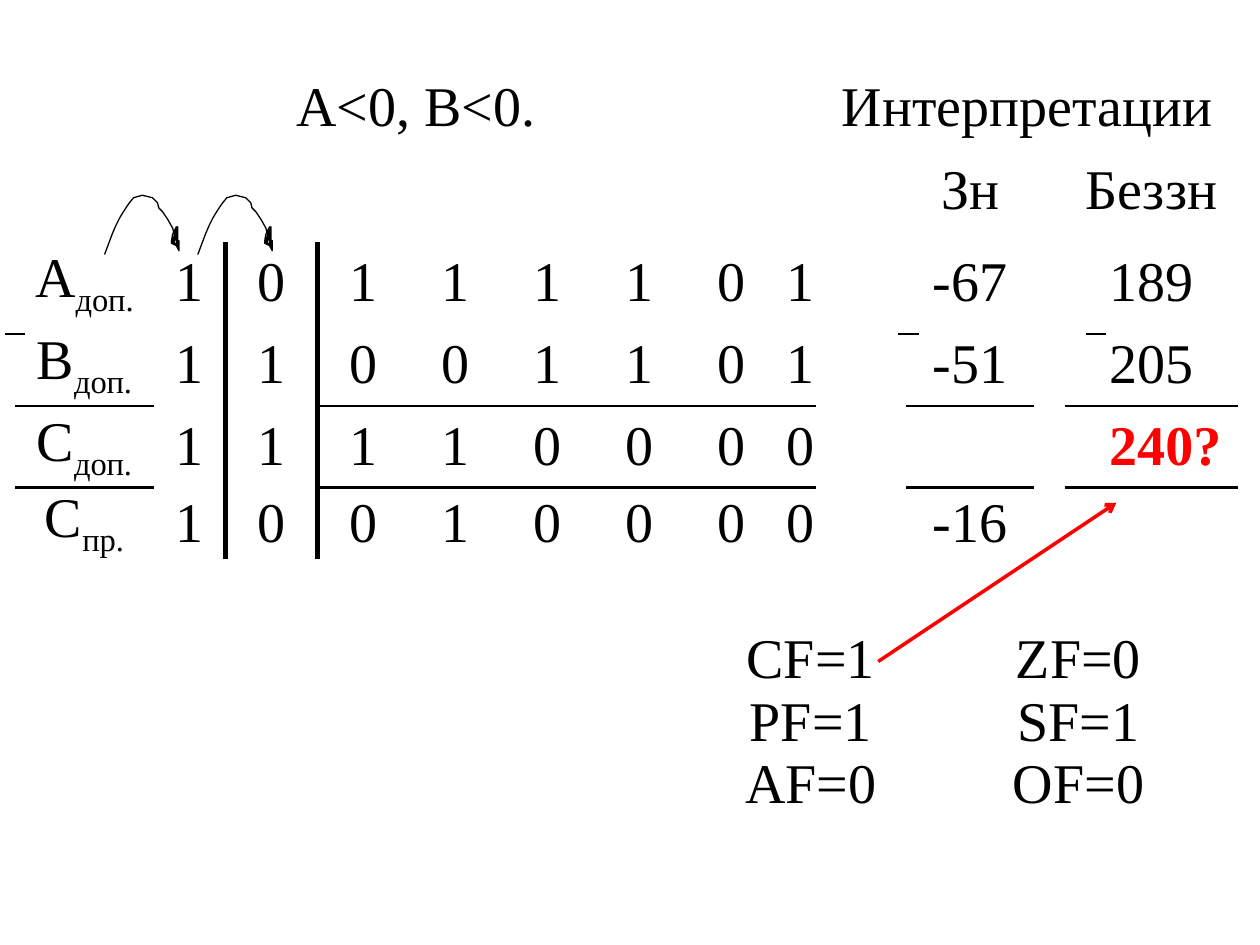
from lxml.etree import SubElement
from pptx import Presentation
from pptx.dml.color import RGBColor
from pptx.enum.shapes import MSO_CONNECTOR
from pptx.enum.text import MSO_ANCHOR, PP_ALIGN
from pptx.oxml.ns import qn
from pptx.util import Inches, Pt

BLACK = RGBColor(0, 0, 0)
RED = RGBColor(255, 0, 0)
FONT = "Times New Roman"
PLAIN_STYLE = "{2D5ABB26-0587-4C30-8999-92F81FD0307C}"

TITLES = [(0, 8, "А<0, B<0."), (9, 12, "Интерпретации")]
READINGS = {10: "Зн", 12: "Беззн"}
NUMBERS = [
    ("A", "доп.", "10111101", "-67", "189"),
    ("B", "доп.", "11001101", "-51", "205"),
    ("C", "доп.", "11110000", "", "240?"),
    ("C", "пр.", "10010000", "-16", ""),
]
FLAGS = [("CF=1", "ZF=0"), ("PF=1", "SF=1"), ("AF=0", "OF=0")]

SUM_COLUMNS = [1.1, 0.57] + [0.73] * 6 + [0.31, 0.71, 1.02, 0.24, 1.38]
SUM_ROWS = [0.5, 0.82, 0.65, 0.65, 0.65, 0.55]
FLAG_COLUMNS = [1.35, 0.2, 2.5]
FLAG_ROWS = [0.49] * 3
FIRST_NUMBER_ROW = 2
RULED_COLUMNS = {0, 3, 4, 5, 6, 7, 8, 10, 12}
RULED_BELOW = {3, 4}

MINUS_LEFTS = [0.04, 8.62, 7.13]
ARC_LEFTS = [1.57, 0.83]
ARC_TOP = 1.55
ARC_POINTS = [
    (0, 0.47), (0.03, 0.39), (0.06, 0.31), (0.09, 0.24), (0.12, 0.18),
    (0.15, 0.13), (0.19, 0.07), (0.23, 0.02), (0.3, 0), (0.38, 0.02),
    (0.42, 0.06), (0.43, 0.1), (0.46, 0.13), (0.5, 0.19), (0.54, 0.26),
    (0.56, 0.33), (0.59, 0.42), (0.54, 0.36), (0.56, 0.3), (0.58, 0.25),
    (0.58, 0.4), (0.53, 0.37), (0.54, 0.31), (0.57, 0.25), (0.57, 0.35),
    (0.54, 0.36), (0.56, 0.31), (0.55, 0.38), (0.57, 0.3), (0.57, 0.39),
    (0.53, 0.38), (0.57, 0.4), (0.59, 0.44), (0.59, 0.36), (0.58, 0.42),
]


def add_plain_table(page, left, top, columns, rows):
    frame = page.shapes.add_table(
        len(rows), len(columns), Inches(left), Inches(top),
        Inches(sum(columns)), Inches(sum(rows)))
    table = frame.table
    table.first_row = table.horz_banding = False
    next(frame.element.iter(qn("a:tableStyleId"))).text = PLAIN_STYLE
    for column, width in zip(table.columns, columns):
        column.width = Inches(width)
    for row, height in zip(table.rows, rows):
        row.height = Inches(height)
    for cell in table.iter_cells():
        cell.margin_left = cell.margin_right = Inches(0.07)
        cell.margin_top = cell.margin_bottom = 0
        cell.vertical_anchor = MSO_ANCHOR.MIDDLE
    return table


def write(cell, text, subscript="", color=BLACK, bold=False):
    para = cell.text_frame.paragraphs[0]
    para.alignment = PP_ALIGN.CENTER
    for part in filter(None, (text, subscript)):
        span = para.add_run()
        span.text = part
        span.font.name = FONT
        span.font.size = Pt(32)
        span.font.color.rgb = color
        span.font.bold = bold
    if subscript:
        span.font._element.set("baseline", "-25000")


def add_border(cell, side, width):
    properties = cell._tc.get_or_add_tcPr()
    line = SubElement(properties, qn(f"a:ln{side}"), w=str(Pt(width)))
    fill = SubElement(line, qn("a:solidFill"))
    SubElement(fill, qn("a:srgbClr"), val=str(BLACK))


def add_line(page, start, end, color, width):
    line = page.shapes.add_connector(
        MSO_CONNECTOR.STRAIGHT, *(Inches(value) for value in start + end))
    line.line.color.rgb = color
    line.line.width = Pt(width)
    SubElement(line._element.spPr, qn("a:effectLst"))
    return line


def add_arc(page, left):
    points = [(Inches(left + x), Inches(ARC_TOP + y)) for x, y in ARC_POINTS]
    builder = page.shapes.build_freeform(*points[0])
    builder.add_line_segments(points[1:], close=False)
    arc = builder.convert_to_shape()
    arc.shadow.inherit = False
    arc.fill.background()
    arc.line.color.rgb = BLACK
    arc.line.width = Pt(0.75)


def add_subtraction(page):
    table = add_plain_table(page, 0.12, 0.6, SUM_COLUMNS, SUM_ROWS)
    for first, last, title in TITLES:
        table.cell(0, first).merge(table.cell(0, last))
        write(table.cell(0, first), title)
    for column, reading in READINGS.items():
        write(table.cell(1, column), reading)
    for row, number in enumerate(NUMBERS, FIRST_NUMBER_ROW):
        letter, code, bits, signed, unsigned = number
        write(table.cell(row, 0), letter, code)
        for column, bit in enumerate(bits, 1):
            write(table.cell(row, column), bit)
        write(table.cell(row, 10), signed)
        doubtful = unsigned.endswith("?")
        write(table.cell(row, 12), unsigned,
              color=RED if doubtful else BLACK, bold=doubtful)
        if doubtful:
            table.cell(row, 12).margin_left = Inches(0.29)
        for column in range(len(SUM_COLUMNS)):
            cell = table.cell(row, column)
            if column == 2:
                add_border(cell, "L", 3)
            if column == 1:
                add_border(cell, "R", 3)
            if column in RULED_COLUMNS and row - 1 in RULED_BELOW:
                add_border(cell, "T", 1.5)
            if column in RULED_COLUMNS and row in RULED_BELOW:
                add_border(cell, "B", 1.5)
    for cell in table.iter_cells():
        cell.fill.background()


def add_flags(page):
    table = add_plain_table(page, 5.76, 4.99, FLAG_COLUMNS, FLAG_ROWS)
    for row, (left_flag, right_flag) in enumerate(FLAGS):
        write(table.cell(row, 0), left_flag)
        write(table.cell(row, 2), right_flag)
    for cell in table.iter_cells():
        cell.fill.background()


def main():
    deck = Presentation()
    deck.slide_width, deck.slide_height = Inches(10), Inches(7.5)
    page = deck.slides.add_slide(deck.slide_layouts[6])
    add_subtraction(page)
    for left in MINUS_LEFTS:
        add_line(page, (left, 2.65), (left + 0.16, 2.65), BLACK, 1.5)
    for left in ARC_LEFTS:
        add_arc(page, left)
    add_flags(page)
    arrow = add_line(page, (6.97, 5.25), (8.86, 3.99), RED, 2)
    SubElement(arrow.line._get_or_add_ln(), qn("a:tailEnd"), type="arrow")
    deck.save("out.pptx")


if __name__ == "__main__":
    main()
